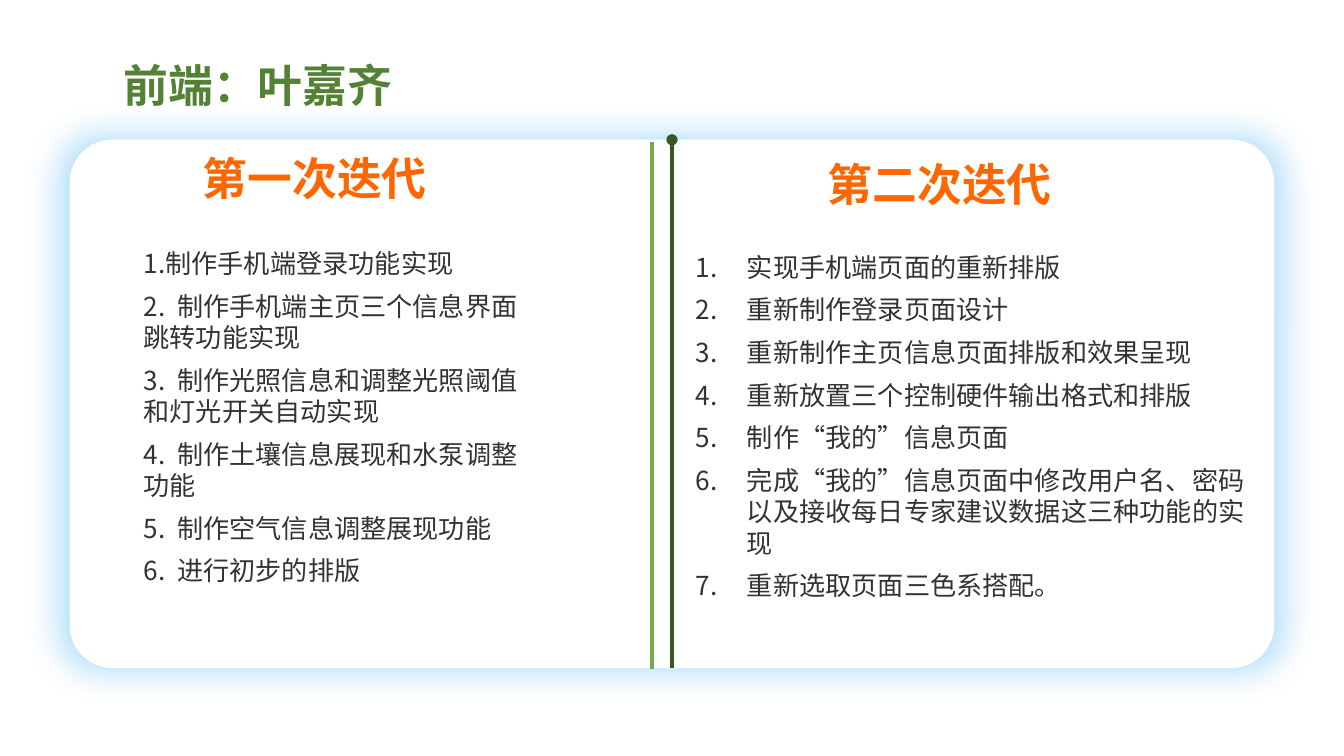
from lxml import etree
from pptx import Presentation
from pptx import util as u
from pptx.dml.color import RGBColor
from pptx.enum import shapes, text
from pptx.oxml import ns

FONT = "Noto Sans CJK SC"
FIRST = [
    "1.制作手机端登录功能实现",
    "2.  制作手机端主页三个信息界面跳转功能实现",
    "3.  制作光照信息和调整光照阈值和灯光开关自动实现",
    "4.  制作土壤信息展现和水泵调整功能",
    "5.  制作空气信息调整展现功能",
    "6.  进行初步的排版",
]
SECOND = [
    "实现手机端页面的重新排版",
    "重新制作登录页面设计",
    "重新制作主页信息页面排版和效果呈现",
    "重新放置三个控制硬件输出格式和排版",
    "制作“我的”信息页面",
    "完成“我的”信息页面中修改用户名、密码以及接收每日专家建议数据这三种功能的实现",
    "重新选取页面三色系搭配。",
]


def color(code):
    """Turn a hex string into a colour."""
    return RGBColor.from_string(code)


def add(node, tag, **attrs):
    """Append a DrawingML child and return it."""
    return etree.SubElement(node, ns.qn(tag), attrs)


def style(para, size, code, bold=False):
    """Format every run of a paragraph."""
    for run in para.runs:
        font = run.font
        font.name, font.size, font.bold = FONT, u.Pt(size), bold
        font.color.rgb = color(code)
        add(run._r.get_or_add_rPr(), "a:ea", typeface=FONT)


def frame(slide, box):
    """Add a wrapping text box and return its frame."""
    body = slide.shapes.add_textbox(*map(u.Inches, box)).text_frame
    body.word_wrap = True
    return body


def title(slide, box, words, code):
    """Add a bold heading."""
    para = frame(slide, box).paragraphs[0]
    para.text = words
    style(para, 24, code, True)


def listing(slide, box, items, left, hang=0):
    """Add a list, numbered automatically when it has a hanging indent."""
    body = frame(slide, box)
    body.vertical_anchor = text.MSO_ANCHOR.MIDDLE
    body.text = "\n".join(items)
    for pos, para in enumerate(body.paragraphs):
        props = para._p.get_or_add_pPr()
        props.set("marL", str(u.Inches(left)))
        props.set("indent", str(-u.Inches(hang)))
        if hang:
            add(add(props, "a:buClr"), "a:srgbClr", val="333333")
            add(props, "a:buFont", typeface="+mj-lt")
            add(props, "a:buAutoNum", type="arabicPeriod")
        para.space_before = u.Pt(3 if pos else 0)
        para.space_after = u.Pt(3)
        style(para, 14, "333333")


def panel(slide, box):
    """Add the rounded white card with its blue glow."""
    card = slide.shapes.add_shape(
        shapes.MSO_SHAPE.ROUNDED_RECTANGLE, *map(u.Inches, box))
    card.adjustments[0] = 0.08
    card.fill.solid()
    card.fill.fore_color.rgb = color("FFFFFF")
    card.line.fill.background()
    card.shadow.inherit = False
    effects = card._element.spPr.find(ns.qn("a:effectLst"))
    glow = add(effects, "a:outerShdw", blurRad=str(u.Pt(17)), dist="0",
               sx="102000", sy="102000", algn="ctr", rotWithShape="0")
    add(add(glow, "a:srgbClr", val="0D98F0"), "a:alpha", val="30000")
    return card


def rule(slide, x, start, end, code, width):
    """Add a vertical line without a shadow."""
    line = slide.shapes.add_connector(
        shapes.MSO_CONNECTOR.STRAIGHT,
        *map(u.Inches, (x, start, x, end)))
    line.line.color.rgb = color(code)
    line.line.width = u.Pt(width)
    add(line._element.spPr, "a:effectLst")
    return line


def main():
    """Build and save the slide."""
    deck = Presentation()
    deck.slide_width = u.Inches(10)
    deck.slide_height = u.Inches(10 * 9 / 16)
    slide = deck.slides.add_slide(deck.slide_layouts[6])
    title(slide, (0.82, 0.38, 2.62, 0.5), "前端：叶嘉齐", "548235")
    card = panel(slide, (0.52, 1.04, 8.96, 3.93))
    rule(slide, 4.85, 1.06, 4.98, "70AD47", 2.25)
    axis = rule(slide, 5, 4.97, 1.04, "385723", 2)
    axis.begin_connect(card, 2)
    axis.end_connect(card, 0)
    add(axis.line._get_or_add_ln(), "a:tailEnd", type="oval")
    title(slide, (6.06, 1.12, 2.4, 0.5), "第二次迭代", "FF6600")
    title(slide, (1.41, 1.07, 2.4, 0.5), "第一次迭代", "FF6600")
    listing(slide, (5.08, 1.8, 4.33, 2.74), SECOND, 0.38, 0.38)
    listing(slide, (0.73, 1.78, 3.41, 2.64), FIRST, 0.24)
    deck.save("out.pptx")


if __name__ == "__main__":
    main()
